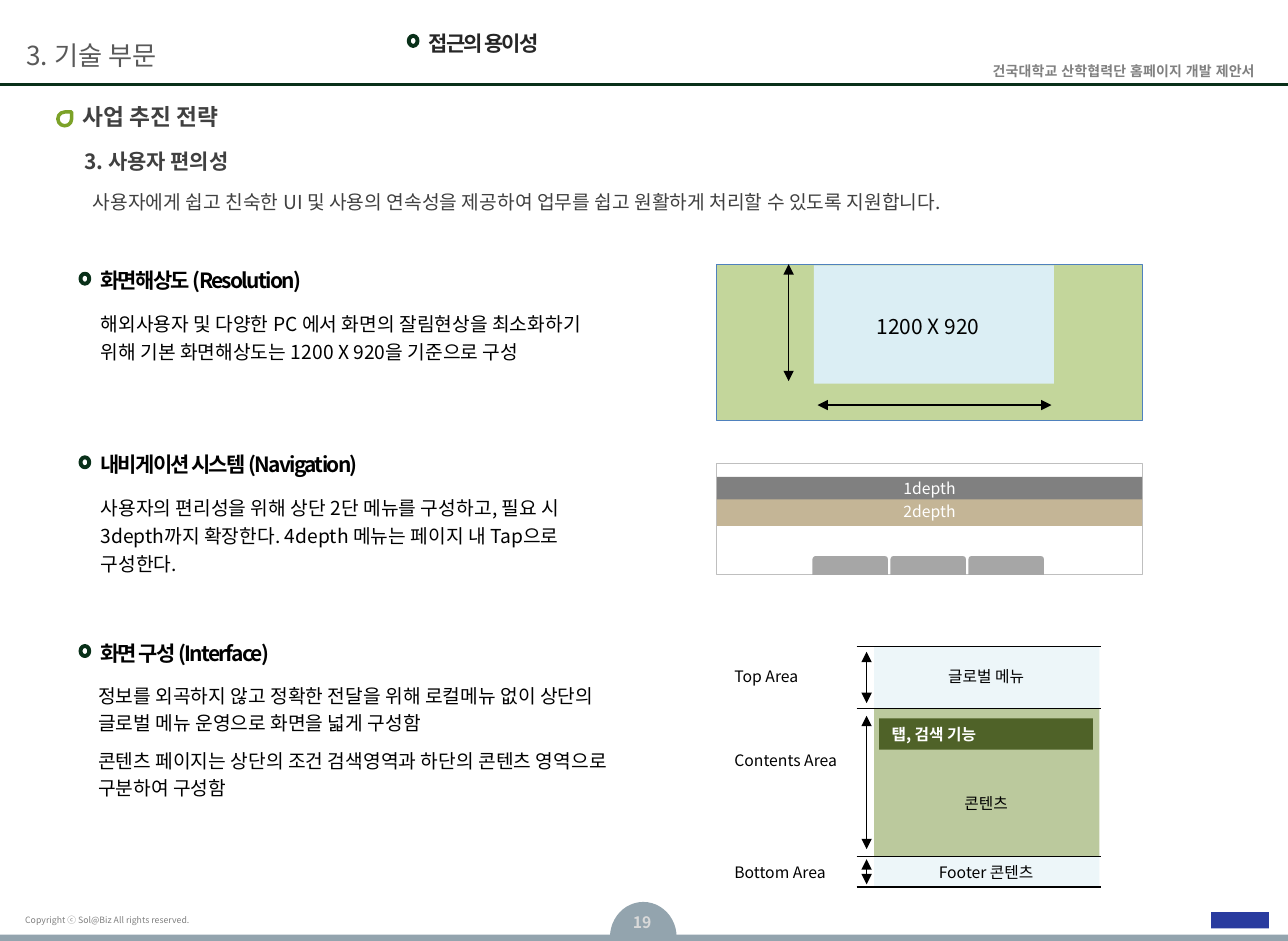
import pptx
import pptx.util
import pptx.dml.color
import pptx.enum.shapes
import pptx.enum.text
import pptx.oxml
import pptx.oxml.ns

RGB = pptx.dml.color.RGBColor
SHAPE = pptx.enum.shapes.MSO_SHAPE
ALIGN = pptx.enum.text.PP_ALIGN
ANCHOR = pptx.enum.text.MSO_ANCHOR
FONT = "Noto Sans CJK KR"
CELL = pptx.util.Inches(0.1)
COLS, ROWS = 102.4, 74.8

BLACK = RGB(0, 0, 0)
WHITE = RGB(255, 255, 255)
INK = RGB(0x40, 0x40, 0x40)
DARK = RGB(0x26, 0x26, 0x26)
SLATE = RGB(0x59, 0x59, 0x59)
GREY = RGB(0x80, 0x80, 0x80)
TAB = RGB(0xA6, 0xA6, 0xA6)
FRAME = RGB(0xBF, 0xBF, 0xBF)
PALE = RGB(0xD9, 0xD9, 0xD9)
STEEL = RGB(0x93, 0xA4, 0xAE)
PINE = RGB(0x09, 0x30, 0x19)
LEAF = RGB(0x7C, 0xA2, 0x28)
LIME = RGB(0xC3, 0xD6, 0x9B)
MOSS = RGB(0xBB, 0xC9, 0x9D)
OLIVE = RGB(0x4F, 0x62, 0x28)
SKY = RGB(0xDB, 0xEE, 0xF4)
MIST = RGB(0xED, 0xF6, 0xF9)
SAND = RGB(0xC4, 0xB5, 0x96)
BLUE = RGB(0x4F, 0x81, 0xBD)
NAVY = RGB(0x29, 0x3B, 0x9F)


def cells(*sizes):
    """Turn counts of grid cells into lengths."""
    return [round(size * CELL) for size in sizes]


def write(frame, lines, size, color=BLACK, bold=False, align=ALIGN.LEFT,
          pad=(1, 0.5), space=1, track=0, font=FONT, anchor=ANCHOR.TOP):
    """Fill a text frame with evenly styled paragraphs."""
    frame.word_wrap = True
    frame.auto_size = pptx.enum.text.MSO_AUTO_SIZE.NONE
    frame.vertical_anchor = anchor
    frame.margin_left = frame.margin_right = cells(pad[0])[0]
    frame.margin_top = frame.margin_bottom = cells(pad[1])[0]
    for index, line in enumerate(lines):
        para = frame.add_paragraph() if index else frame.paragraphs[0]
        para.text = line
        para.alignment = align
        para.line_spacing = space
        if index:
            para.space_before = pptx.util.Pt(size / 2)
        para.font.size = pptx.util.Pt(size)
        para.font.bold = bold
        para.font.color.rgb = color
        para.font.name = font
        style = para._p.pPr.find(pptx.oxml.ns.qn("a:defRPr"))
        style.set("spc", str(track * 100))
        asian = pptx.oxml.parse_xml(f'<a:ea {pptx.oxml.ns.nsdecls("a")} typeface="{font}"/>')
        style.append(asian)


def text(slide, box, lines, size, **style):
    """Add a text box."""
    write(slide.shapes.add_textbox(*cells(*box)).text_frame, lines, size, **style)


def shape(slide, box, fill=None, line=None, width=0.5, kind=SHAPE.RECTANGLE):
    """Add a flat shape."""
    item = slide.shapes.add_shape(kind, *cells(*box))
    item.shadow.inherit = False
    if fill is None:
        item.fill.background()
    else:
        item.fill.solid()
        item.fill.fore_color.rgb = fill
    if line is None:
        item.line.fill.background()
    else:
        item.line.color.rgb = line
        item.line.width = pptx.util.Pt(width)
    return item


def rule(slide, start, end, color=BLACK, width=0.75, arrows=False):
    """Draw a straight line, with arrows at both ends if asked."""
    item = slide.shapes.add_connector(
        pptx.enum.shapes.MSO_CONNECTOR.STRAIGHT, *cells(*start, *end))
    item.line.color.rgb = color
    item.line.width = pptx.util.Pt(width)
    space = pptx.oxml.ns.nsdecls("a")
    if arrows:
        for end_tag in ("headEnd", "tailEnd"):
            item.line._get_or_add_ln().append(
                pptx.oxml.parse_xml(f'<a:{end_tag} {space} type="triangle"/>'))
    item._element.spPr.append(pptx.oxml.parse_xml(f"<a:effectLst {space}/>"))


def header(slide):
    """Place the chapter name, document name and top rule."""
    rule(slide, (0, 6.7), (COLS, 6.7), PINE, 1.5)
    text(slide, (74.7, 4.5, 26, 2.3), ["건국대학교 산학협력단 홈페이지 개발 제안서"], 8,
         color=GREY, bold=True, align=ALIGN.RIGHT, pad=(0.9, 0.5), font="Arial")
    text(slide, (0, 2.2, 62.9, 4.4), ["3. 기술 부문"], 15, color=SLATE,
         pad=(2.1, 0.5), anchor=ANCHOR.MIDDLE)


def footer(slide):
    """Place the page badge, copyright line and bottom bar."""
    badge = shape(slide, (48.5, 71.7, 5.3, 5.6), STEEL, kind=SHAPE.CHORD)
    badge.adjustments[0] = 108.41
    badge.adjustments[1] = 214.66
    text(slide, (1.2, 72.3, 26.1, 1.8), ["Copyright ⓒ Sol@Biz All rights reserved."], 5,
         color=GREY, pad=(0.8, 0.4))
    shape(slide, (0, ROWS - 0.5, COLS, 0.5), STEEL)
    text(slide, (48.5, 72.1, 5.1, 3.7), ["19"], 9, color=PALE, bold=True,
         align=ALIGN.CENTER, pad=(0.9, 0.5))
    shape(slide, (96.3, 72.5, 4.6, 1.3), NAVY)


def intro(slide):
    """Place the title and the lead text."""
    shape(slide, (4.6, 8.9, 1.1, 1.1), WHITE, LEAF, 2, SHAPE.TEAR)
    title = slide.shapes.title
    title.left, title.top, title.width, title.height = cells(6.6, 8.2, 95.6, 2.2)
    write(title.text_frame, ["사업 추진 전략"], 13, color=INK, bold=True, pad=(0, 0))
    text(slide, (6.7, 11.8, 50.7, 2), ["3. 사용자 편의성"], 12, color=INK,
         bold=True, pad=(0, 0))
    text(slide, (6.4, 14.6, 92.6, 7.7),
         ["사용자에게 쉽고 친숙한 UI 및 사용의 연속성을 제공하여 업무를 쉽고 원활하게 처리할 수 있도록 지원합니다."],
         11, color=INK)


def head(slide, left, top, words, color=BLACK):
    """Place a ring bullet with its heading."""
    text(slide, (left + 0.6, top, 27.5, 3), [words], 12, color=color,
         bold=True, track=-1)
    shape(slide, (left, top + 0.95, 0.7, 0.8), WHITE, PINE, 2.25, SHAPE.OVAL)


def topic(slide, top, words, left, body, drop):
    """Place a heading and its body text."""
    head(slide, 6.4, top, words)
    text(slide, (left, top + drop, 41.3, 8), body, 11, pad=(0, 0), space=1.2)


def screen(slide, left, top):
    """Draw the screen size diagram."""
    shape(slide, (left, top, 33.8, 12.4), LIME, BLUE)
    shape(slide, (left + 7.7, top + 0.1, 19.1, 9.4), SKY)
    rule(slide, (left + 5.7, top), (left + 5.7, top + 9.3), arrows=True)
    rule(slide, (left + 8, top + 11.2), (left + 26.6, top + 11.2), arrows=True)
    text(slide, (left + 12.7, top + 3.5, 9.2, 2.4), ["1200 X 920"], 12,
         pad=(0, 0), space=1.2)


def menu(slide, left, top):
    """Draw the menu depth diagram."""
    shape(slide, (left, top, 33.8, 8.9), line=FRAME)
    for drop, high, fill, words in ((2.7, 2.3, SAND, "2depth"), (1.1, 1.8, GREY, "1depth")):
        bar = shape(slide, (left, top + drop, 33.8, high), fill)
        write(bar.text_frame, [words], 9, color=WHITE, align=ALIGN.CENTER,
              anchor=ANCHOR.MIDDLE)
    for index in range(3):
        shape(slide, (left + 7.6 + 6.2 * index, top + 7.4, 6, 1.5), TAB,
              kind=SHAPE.ROUND_2_SAME_RECTANGLE)


def layout(slide, left, top):
    """Draw the page area diagram."""
    edges = [top + drop for drop in (0, 4.9, 16.7, 19.1)]
    areas = zip(edges, edges[1:], (MIST, MOSS, MIST),
                ("Top Area", "Contents Area", "Bottom Area"), (1.1, 7.8, 16.7))
    for start, end, fill, words, drop in areas:
        gap = min(0.6, (end - start) / 12)
        shape(slide, (left + 12.1, start, 17.9, end - start), fill)
        rule(slide, (left + 11.5, start + gap), (left + 11.5, end - gap), arrows=True)
        text(slide, (left, top + drop, 12.9, 2.5), [words], 9)
    for edge in edges:
        rule(slide, (left + 10.7, edge), (left + 30.1, edge))
    tab = shape(slide, (left + 12.5, top + 5.7, 17, 2.5), OLIVE)
    write(tab.text_frame, ["탭, 검색 기능"], 9, color=WHITE, bold=True)
    for drop, words in ((1.1, "글로벌 메뉴"), (11.2, "콘텐츠"), (16.7, "Footer 콘텐츠")):
        text(slide, (left + 12.5, top + drop, 17, 2.5), [words], 9, align=ALIGN.CENTER)


def main():
    """Build the slide and save it."""
    deck = pptx.Presentation()
    deck.slide_width, deck.slide_height = cells(COLS, ROWS)
    slide = deck.slides.add_slide(deck.slide_layouts[5])
    header(slide)
    footer(slide)
    intro(slide)
    head(slide, 32.5, 1.9, "접근의 용이성", DARK)
    topic(slide, 20.8, "화면해상도 (Resolution)", 8,
          ["해외사용자 및 다양한 PC 에서 화면의 잘림현상을 최소화하기 위해 기본 화면해상도는 1200 X 920을 기준으로 구성"], 3.7)
    topic(slide, 35.4, "내비게이션 시스템 (Navigation)", 8,
          ["사용자의 편리성을 위해 상단 2단 메뉴를 구성하고, 필요 시 3depth까지 확장한다. 4depth 메뉴는 페이지 내 Tap으로 구성한다."], 3.7)
    topic(slide, 50.4, "화면 구성 (Interface)", 7.8,
          ["정보를 외곡하지 않고 정확한 전달을 위해 로컬메뉴 없이 상단의 글로벌 메뉴 운영으로 화면을 넓게 구성함",
           "콘텐츠 페이지는 상단의 조건 검색영역과 하단의 콘텐츠 영역으로 구분하여 구성함"], 3.6)
    screen(slide, 57, 21)
    menu(slide, 57, 36.8)
    layout(slide, 57.4, 51.4)
    deck.save("out.pptx")


if __name__ == "__main__":
    main()
